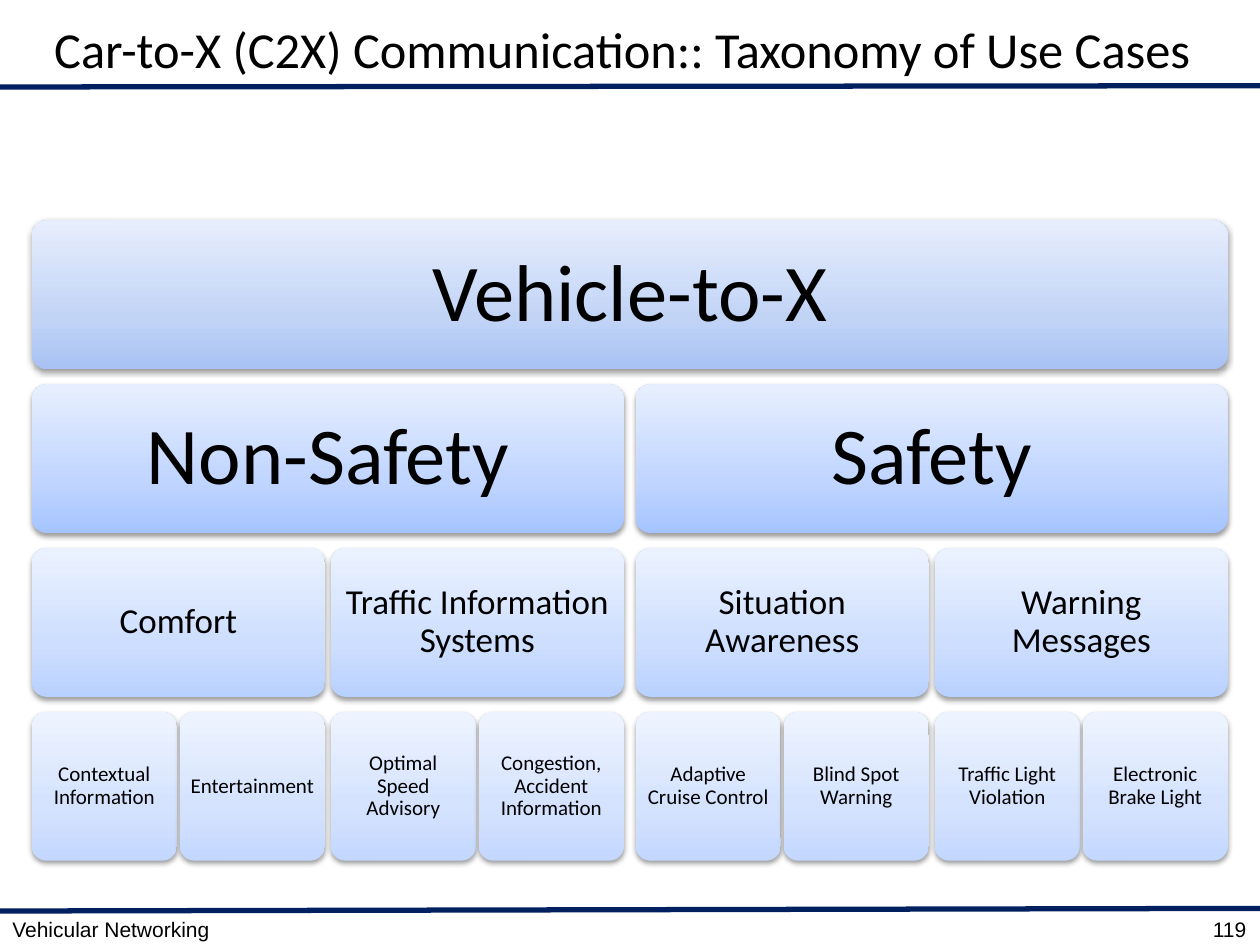
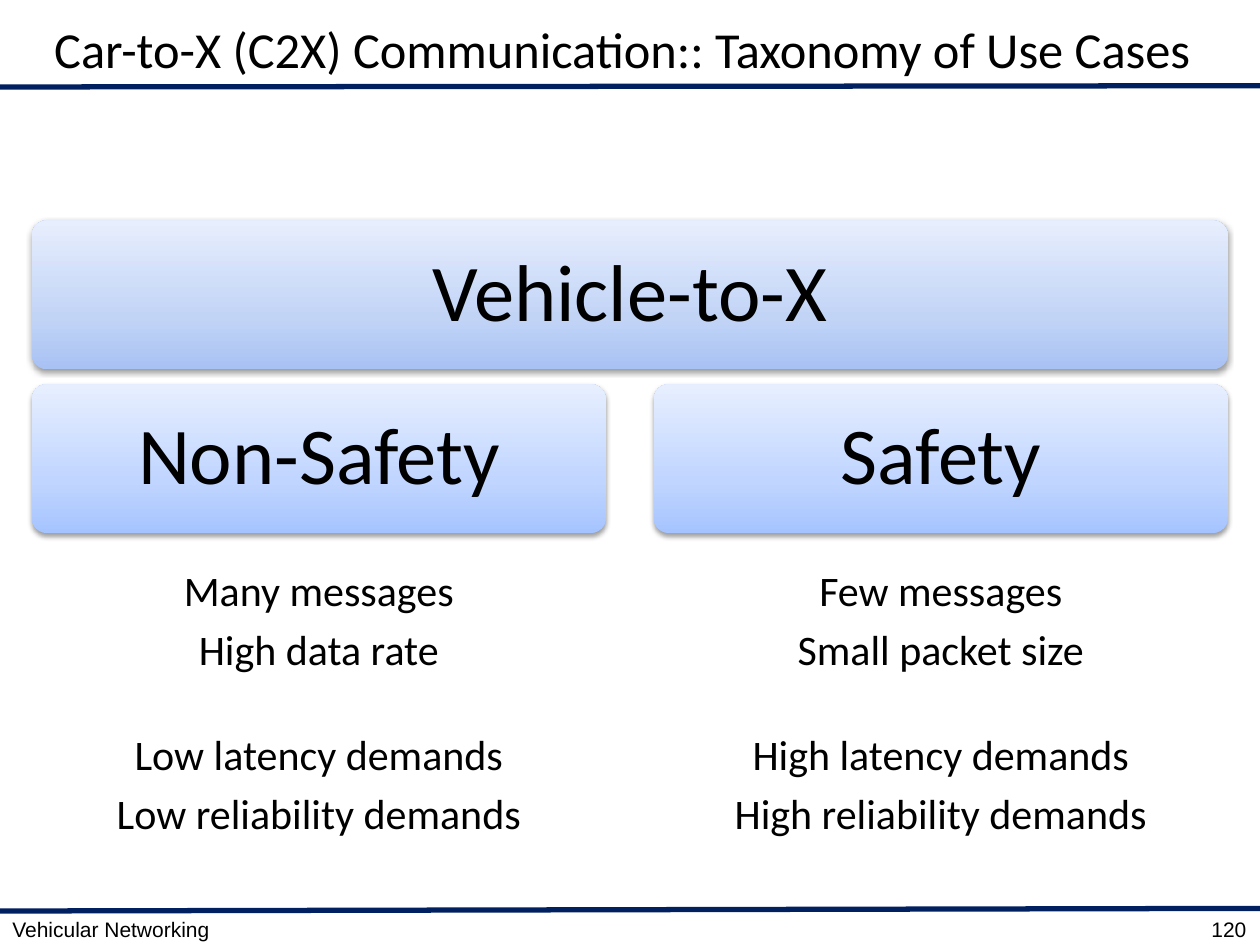
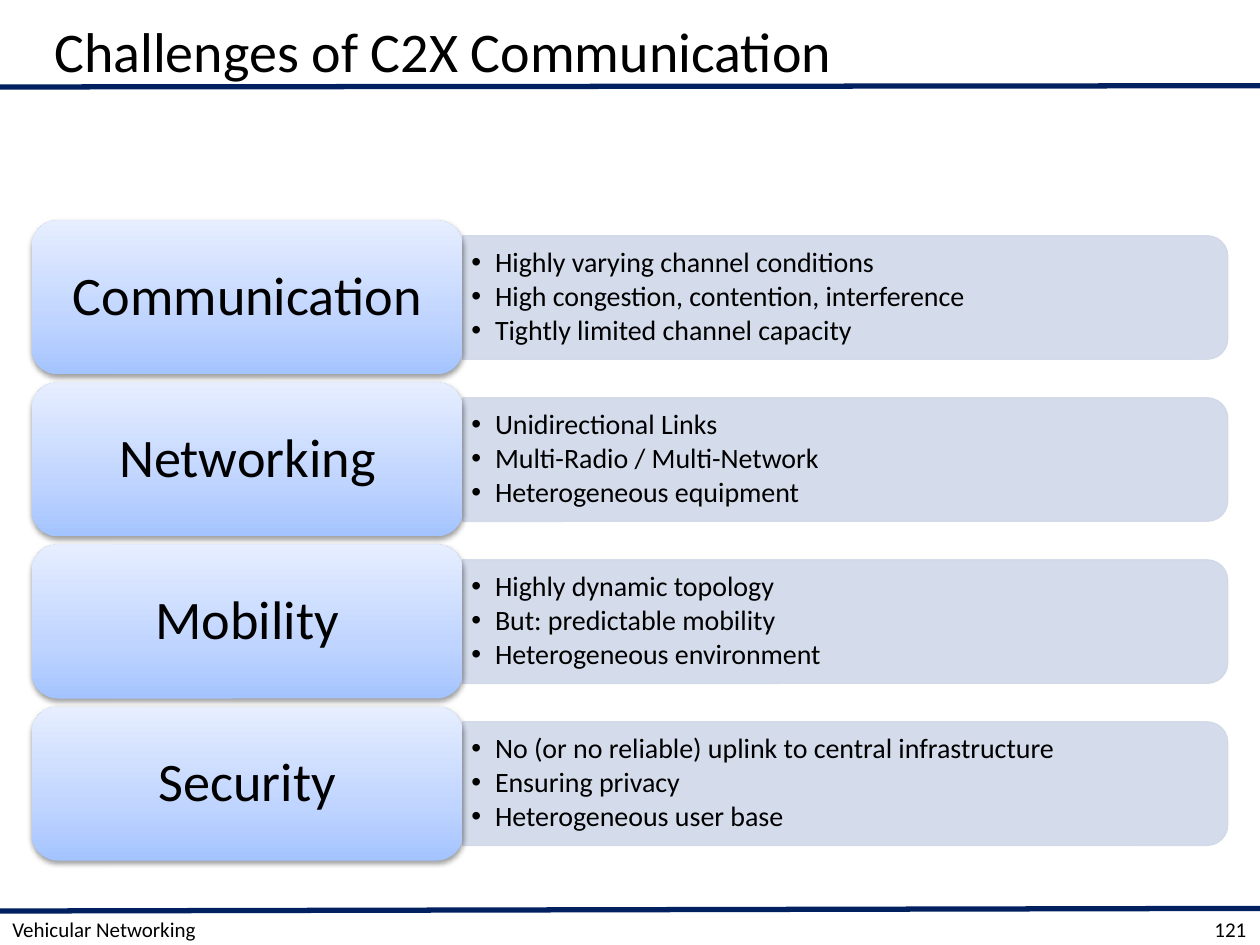
from lxml import etree
from pptx import Presentation, util as u
from pptx.dml.color import RGBColor
from pptx.enum import shapes, text
from pptx.oxml.ns import qn

TAXONOMY_TITLE = "Car-to-X (C2X) Communication:: Taxonomy of Use Cases"
COURSE = "Vehicular Networking"

USE_CASES = ("Vehicle-to-X", [
    ("Non-Safety", [
        ("Comfort", [("Contextual Information", []), ("Entertainment", [])]),
        ("Traffic Information Systems", [
            ("Optimal Speed Advisory", []),
            ("Congestion, Accident Information", [])]),
    ]),
    ("Safety", [
        ("Situation Awareness", [("Adaptive Cruise Control", []), ("Blind Spot Warning", [])]),
        ("Warning Messages", [("Traffic Light Violation", []), ("Electronic Brake Light", [])]),
    ]),
])

DEMANDS = ("Vehicle-to-X", [
    ("Non-Safety", [
        (["Many messages", "High data rate"], [
            (["Low latency demands", "Low reliability demands"], [])])]),
    ("Safety", [
        (["Few messages", "Small packet size"], [
            (["High latency demands", "High reliability demands"], [])])]),
])

CHALLENGES = [
    ("Communication", ["Highly varying channel conditions",
                       "High congestion, contention, interference",
                       "Tightly limited channel capacity"]),
    ("Networking", ["Unidirectional Links",
                    "Multi-Radio / Multi-Network",
                    "Heterogeneous equipment"]),
    ("Mobility", ["Highly dynamic topology",
                  "But: predictable mobility",
                  "Heterogeneous environment"]),
    ("Security", ["No (or no reliable) uplink to central infrastructure",
                  "Ensuring privacy",
                  "Heterogeneous user base"]),
]

COLOURS = {"text": "000000", "rule": "002060", "bar": "D0D8E8"}
GRADIENTS = {
    "root": ("A8C2F4", "C2D4F6", "E7EEFD"),
    "branch": ("A5C4FF", "C0D5FF", "E7EFFF"),
    "group": ("B9D1FF", "CDDEFE", "EBF2FF"),
    "leaf": ("C3D7FF", "D4E2FE", "EEF4FF"),
    "challenge": ("A4C4FF", "BFD4FF", "E6EEFF"),
}
STOPS = (0, 35, 100)
LEVELS = [("root", 46, 13.8), ("branch", 46, 13.8), ("group", 20, 5.5), ("leaf", 12, 3.3)]

WIDTH, HEIGHT = 720, 540
LEFT, TOP, SPAN = 18.2, 126, 683.4
TILE_HEIGHT, TILE_STEP = 85, 93.6
LABEL_WIDTH, LABEL_HEIGHT, LABEL_STEP = 246.2, 88, 92.6
BAR_HEIGHT = 70.6
CENTRE, RIGHT = text.PP_ALIGN.CENTER, text.PP_ALIGN.RIGHT


def assign(target, values):
    for name, value in values.items():
        setattr(target, name, value)


def rgb(name):
    return RGBColor.from_string(COLOURS[name])


def points(*lengths):
    return [u.Pt(length) for length in lengths]


def write(shape, lines, size, font="Calibri", align=None, margins=(7.2, 3.6),
          spacing=None, gap=0, bullet_indent=0):
    frame = shape.text_frame
    across, down = points(*margins)
    assign(frame, {"word_wrap": True, "vertical_anchor": text.MSO_ANCHOR.MIDDLE,
                   "margin_left": across, "margin_right": across,
                   "margin_top": down, "margin_bottom": down})
    for index, line in enumerate(lines):
        paragraph = frame.paragraphs[0] if index == 0 else frame.add_paragraph()
        paragraph.add_run().text = line
        assign(paragraph, {"alignment": align, "line_spacing": spacing})
        if index:
            paragraph.space_before = u.Pt(gap)
        if bullet_indent:
            properties = paragraph._p.get_or_add_pPr()
            properties.set("marL", str(u.Pt(bullet_indent)))
            properties.set("indent", str(u.Pt(-bullet_indent)))
            etree.SubElement(properties, qn("a:buFont"), typeface="Arial")
            etree.SubElement(properties, qn("a:buChar"), char="•")
        run_font = paragraph.runs[0].font
        assign(run_font, {"size": u.Pt(size), "name": font})
        run_font.color.rgb = rgb("text")


def add_text(slide, box, lines, size, **style):
    write(slide.shapes.add_textbox(*points(*box)), lines, size, **style)


def add_tile(slide, box, label, gradient, size, margins, corner):
    tile = slide.shapes.add_shape(shapes.MSO_SHAPE.ROUNDED_RECTANGLE, *points(*box))
    tile.adjustments[0] = corner
    tile.fill.gradient()
    tile.fill.gradient_angle = 90
    stops = tile._element.spPr.find(".//" + qn("a:gsLst"))
    for old in list(stops):
        stops.remove(old)
    for position, colour in zip(STOPS, GRADIENTS[gradient]):
        stop = etree.SubElement(stops, qn("a:gs"), pos=str(position * 1000))
        etree.SubElement(stop, qn("a:srgbClr"), val=colour)
    tile.line.fill.background()
    tile.shadow.inherit = False
    effects = tile._element.spPr.find(qn("a:effectLst"))
    shadow = etree.SubElement(effects, qn("a:outerShdw"), blurRad=str(u.Pt(3.1)),
                              dist=str(u.Pt(1.6)), dir="5400000", rotWithShape="0")
    black = etree.SubElement(shadow, qn("a:srgbClr"), val="000000")
    etree.SubElement(black, qn("a:alpha"), val="38000")
    write(tile, [label], size, align=CENTRE, margins=margins, spacing=0.9)


def add_tree(slide, node, gap, level=0, left=LEFT, width=SPAN):
    label, children = node
    box = (left, TOP + level * TILE_STEP, width, TILE_HEIGHT)
    if isinstance(label, list):
        add_text(slide, box, label, 24, align=CENTRE, spacing=0.9, gap=8)
    else:
        gradient, size, margin = LEVELS[level]
        add_tile(slide, box, label, gradient, size, (margin, margin), 0.1)
    if children:
        child_gap = gap / 2 ** level
        child_width = (width + child_gap) / len(children) - child_gap
        for index, child in enumerate(children):
            child_left = left + index * (child_width + child_gap)
            add_tree(slide, child, gap, level + 1, child_left, child_width)


def add_bar(slide, left, middle, width):
    box = (left + (width - BAR_HEIGHT) / 2, middle - width / 2, BAR_HEIGHT, width)
    bar = slide.shapes.add_shape(shapes.MSO_SHAPE.ROUND_2_SAME_RECTANGLE, *points(*box))
    bar.rotation = 90
    bar.shadow.inherit = False
    bar.fill.solid()
    bar.fill.fore_color.rgb = rgb("bar")
    bar.line.color.rgb = rgb("bar")
    bar.line.width = u.Pt(0.75)
    for colour in bar._element.spPr.iter(qn("a:srgbClr")):
        etree.SubElement(colour, qn("a:alpha"), val="90000")


def add_challenges(slide):
    bar_left = LEFT + LABEL_WIDTH
    bar_width = SPAN - LABEL_WIDTH
    for index, (label, issues) in enumerate(CHALLENGES):
        top = TOP + index * LABEL_STEP
        middle = top + LABEL_HEIGHT / 2
        add_bar(slide, bar_left, middle, bar_width)
        add_text(slide, (bar_left, middle - BAR_HEIGHT / 2, bar_width, BAR_HEIGHT), issues, 16,
                 margins=(5, 2.5), spacing=0.9, gap=2.2, bullet_indent=13.5)
        add_tile(slide, (LEFT, top, LABEL_WIDTH, LABEL_HEIGHT), label, "challenge",
                 31, (9.4, 4.7), 0.17)


def add_slide(deck, title, number, title_top=-1.4, title_size=28.8, footer_font="Arial"):
    slide = deck.slides.add_slide(deck.slide_layouts[6])
    for start, end in ((520.6, 519.1), (49.7, 49)):
        rule = slide.shapes.add_connector(shapes.MSO_CONNECTOR.STRAIGHT,
                                          *points(0, start, WIDTH, end))
        rule.line.color.rgb = rgb("rule")
        rule.line.width = u.Pt(3)
        etree.SubElement(rule._element.spPr, qn("a:effectLst"))
    add_text(slide, (16.6, title_top, WIDTH, 57.6), [title], title_size, margins=(14.4, 3.6))
    add_text(slide, (0, 522, WIDTH, 18), [COURSE], 12, font=footer_font)
    add_text(slide, (635.8, 522, 83.5, 18), [str(number)], 12, font=footer_font, align=RIGHT)
    return slide


def main():
    deck = Presentation()
    assign(deck, {"slide_width": u.Pt(WIDTH), "slide_height": u.Pt(HEIGHT)})
    add_tree(add_slide(deck, TAXONOMY_TITLE, 119), USE_CASES, 6.8)
    add_tree(add_slide(deck, TAXONOMY_TITLE, 120), DEMANDS, 27.4)
    add_challenges(add_slide(deck, "Challenges of C2X Communication", 121,
                             title_top=0, title_size=32, footer_font="Calibri"))
    deck.save("out.pptx")


if __name__ == "__main__":
    main()
